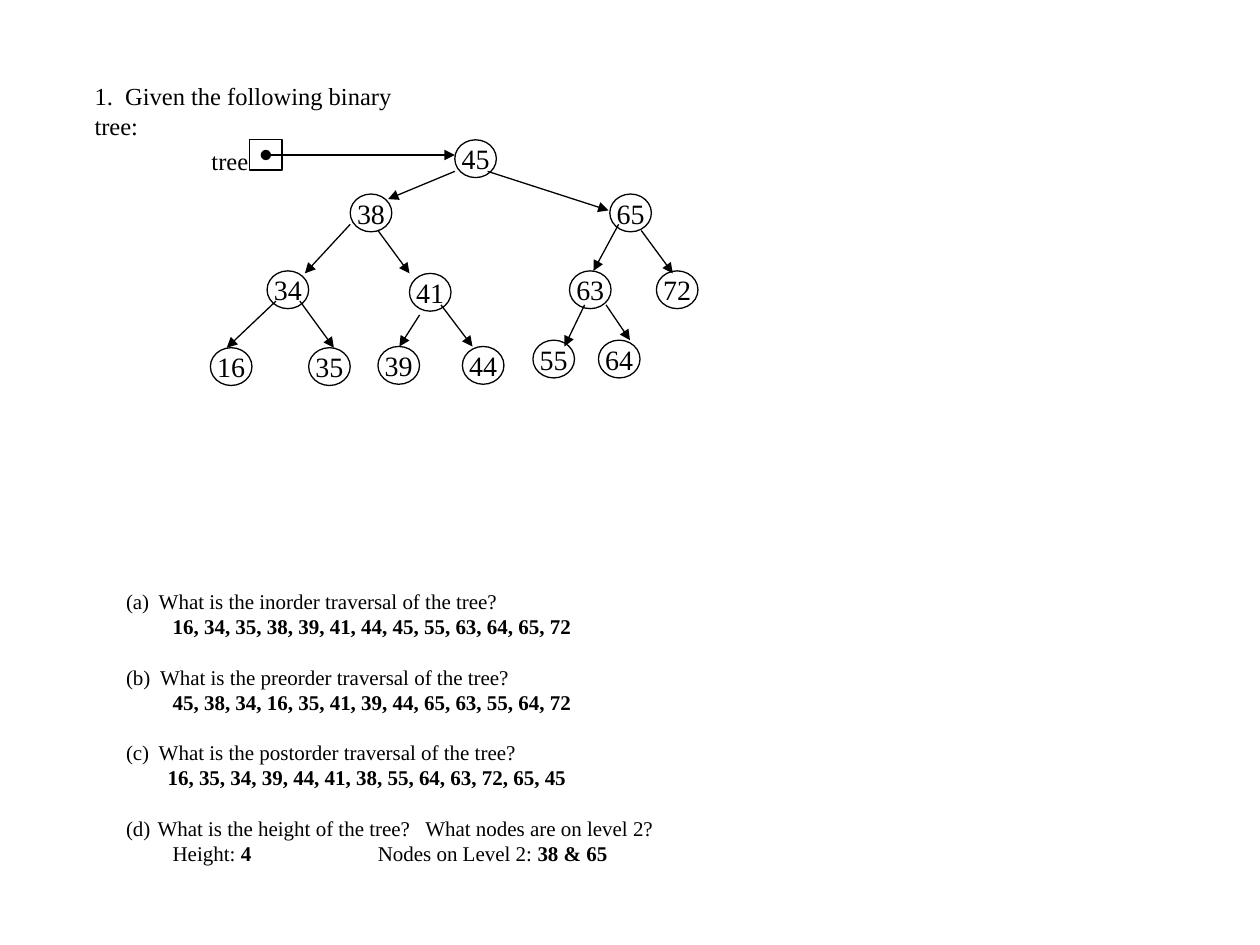
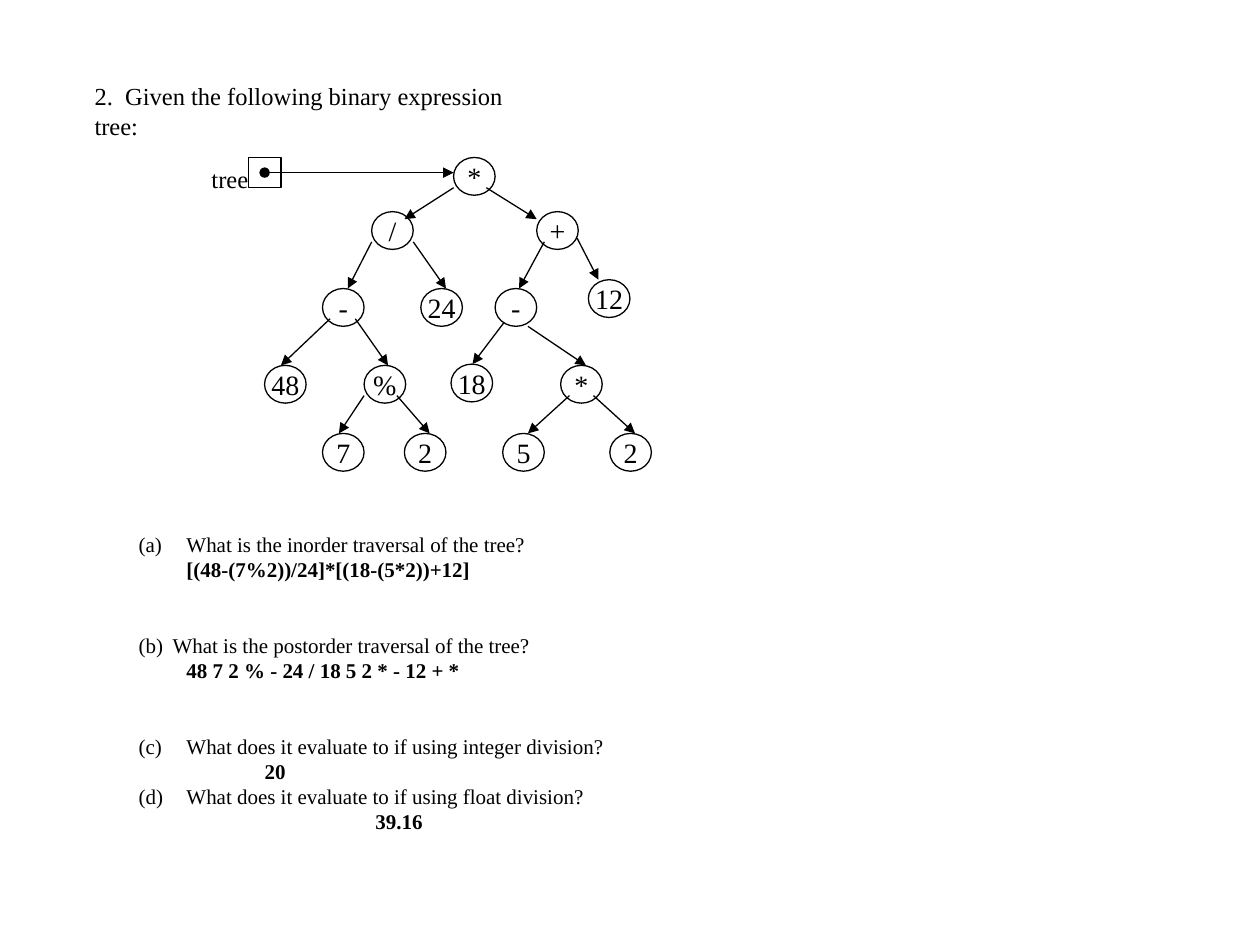
from lxml.etree import SubElement
from pptx import Presentation
from pptx.dml.color import RGBColor
from pptx.enum.shapes import MSO_CONNECTOR, MSO_SHAPE
from pptx.enum.text import MSO_ANCHOR, MSO_AUTO_SIZE, PP_ALIGN
from pptx.oxml.ns import qn
from pptx.util import Inches, Pt

FONT = "Times New Roman"
INK = "000000"
NODE_W, NODE_H = 0.33, 0.3

exercises = [
    {
        "title": "1.  Given the following binary tree:",
        "title_width": 2.9,
        "questions_at": (0.9, 4.62, 5.29, 2.4),
        "questions": [
            (0, 0.26, ["(a)\tWhat is the inorder traversal of the tree?"]),
            (0, 0.37, ["*16, 34, 35, 38, 39, 41, 44, 45, 55, 63, 64, 65, 72"]),
            (1, 0.27, ["(b)\tWhat is the preorder traversal of the tree?"]),
            (0, 0.37, ["*45, 38, 34, 16, 35, 41, 39, 44, 65, 63, 55, 64, 72"]),
            (1, 0.26, ["(c)\tWhat is the postorder traversal of the tree?"]),
            (0, 0.33, ["*16, 35, 34, 39, 44, 41, 38, 55, 64, 63, 72, 65, 45"]),
            (1, 0.25, ["(d)\tWhat is the height of the tree?   What nodes are on level 2?"]),
            (0, 0.37, ["Height: ", "*4"]),
        ],
        "asides": [(2.9, 6.62, 2.1, 0.3, 12, 14.4, ["Nodes on Level 2: ", "*38 & 65"])],
        "pointer": (1.98, 1.11),
        "nodes": [
            ("45", 3.61, 1.11), ("38", 2.78, 1.54), ("65", 4.84, 1.54),
            ("34", 2.12, 2.15), ("41", 3.25, 2.17), ("63", 4.52, 2.15),
            ("72", 5.21, 2.15), ("16", 1.67, 2.76), ("35", 2.45, 2.76),
            ("39", 3, 2.75), ("44", 3.67, 2.75), ("55", 4.23, 2.7), ("64", 4.75, 2.7),
        ],
        "branches": [
            (3.61, 1.36, 3.08, 1.58), (3.87, 1.36, 4.83, 1.67),
            (2.78, 1.78, 2.42, 2.17), (3, 1.83, 3.25, 2.17),
            (4.91, 1.78, 4.71, 2.15), (5.09, 1.83, 5.34, 2.17),
            (2.19, 2.39, 1.8, 2.76), (2.38, 2.39, 2.65, 2.76),
            (3.33, 2.5, 3.17, 2.75), (3.5, 2.42, 3.75, 2.75),
            (4.64, 2.42, 4.48, 2.75), (4.81, 2.42, 5, 2.7),
        ],
    },
    {
        "title": "2.  Given the following binary expression tree:",
        "title_width": 3.75,
        "questions_at": (1, 4.17, 5, 2.93),
        "questions": [
            (0, 0.38, ["(a)\tWhat is the inorder traversal of the tree?"]),
            (0, 0.38, ["*[(48-(7%2))/24]*[(18-(5*2))+12]"]),
            (2, 0.27, ["(b)\tWhat is the postorder traversal of the tree?"]),
            (0, 0.38, ["*48 7 2 % - 24 / 18 5 2 * - 12 + *"]),
            (2, 0.38, ["(c)\tWhat does it evaluate to if using integer division?"]),
            (0, 1, ["*20"]),
            (0, 0.38, ["(d)\tWhat does it evaluate to if using float division?"]),
            (0, 1.88, ["*39.16"]),
        ],
        "asides": [],
        "pointer": (1.97, 1.25),
        "nodes": [
            ("*", 3.6, 1.25), ("/", 2.95, 1.68), ("+", 4.26, 1.68),
            ("-", 2.56, 2.29), ("24", 3.34, 2.29), ("-", 3.93, 2.29),
            ("12", 4.67, 2.22), ("48", 2.1, 2.9), ("%", 2.89, 2.9),
            ("18", 3.58, 2.89), ("*", 4.45, 2.9), ("7", 2.56, 3.44),
            ("2", 3.21, 3.44), ("5", 3.99, 3.44), ("2", 4.84, 3.44),
        ],
        "branches": [
            (3.6, 1.49, 3.21, 1.74), (3.86, 1.49, 4.26, 1.74),
            (2.95, 1.92, 2.76, 2.29), (3.28, 1.92, 3.54, 2.29),
            (4.32, 1.92, 4.12, 2.29), (4.58, 1.89, 4.75, 2.22),
            (2.62, 2.53, 2.23, 2.9), (2.82, 2.53, 3.08, 2.9),
            (4, 2.56, 3.75, 2.89), (4.19, 2.59, 4.65, 2.9),
            (2.89, 3.14, 2.69, 3.44), (3.15, 3.14, 3.41, 3.44),
            (4.52, 3.14, 4.19, 3.44), (4.71, 3.14, 5.04, 3.44),
        ],
    },
]


def color(target, value):
    target.rgb = RGBColor.from_string(value)


def write(paragraph, runs, size, leading=None, before=0, margin=0, align=PP_ALIGN.LEFT):
    paragraph.alignment = align
    paragraph.space_before = Pt(before)
    if leading:
        paragraph.line_spacing = Pt(leading)
    hanging = margin if "\t" in runs[0] else 0
    properties = paragraph._p.get_or_add_pPr()
    properties.set("marL", str(Inches(margin)))
    properties.set("indent", str(-Inches(hanging)))
    SubElement(properties, qn("a:buNone"))
    for words in runs:
        bold = len(words) > 1 and words.startswith("*")
        run = paragraph.add_run()
        run.text = words[1:] if bold else words
        run.font.name = FONT
        run.font.size = Pt(size)
        run.font.bold = bold
        color(run.font.color, INK)


prs = Presentation()
prs.slide_width, prs.slide_height = Inches(10), Inches(7.5)

for exercise in exercises:
    slide = prs.slides.add_slide(prs.slide_layouts[1])
    title, questions = slide.placeholders
    title_at = (0.65, 0.59, exercise["title_width"], 0.58)
    for holder, place in ((title, title_at), (questions, exercise["questions_at"])):
        holder.left, holder.top, holder.width, holder.height = map(Inches, place)
        holder.text_frame.auto_size = MSO_AUTO_SIZE.NONE
        holder.text_frame.word_wrap = True
        holder.text_frame.vertical_anchor = MSO_ANCHOR.TOP

    write(title.text_frame.paragraphs[0], [exercise["title"]], 14, 17.1)
    for index, (blank_lines, margin, runs) in enumerate(exercise["questions"]):
        frame = questions.text_frame
        line = frame.add_paragraph() if index else frame.paragraphs[0]
        write(line, runs, 12, 14.4, blank_lines * 14.4, margin)

    pointer_x, pointer_y = exercise["pointer"]
    outlines = [(MSO_SHAPE.RECTANGLE, "", pointer_x, pointer_y, 0.26, 0.24)]
    outlines += [(MSO_SHAPE.OVAL, label, x, y, NODE_W, NODE_H)
                 for label, x, y in exercise["nodes"]]
    for kind, label, *place in outlines:
        outline = slide.shapes.add_shape(kind, *map(Inches, place))
        outline.shadow.inherit = False
        outline.fill.background()
        color(outline.line.color, INK)
        outline.line.width = Pt(0.75)
        if label:
            frame = outline.text_frame
            frame.word_wrap = False
            frame.margin_left = frame.margin_right = 0
            frame.margin_top = frame.margin_bottom = 0
            frame.vertical_anchor = MSO_ANCHOR.MIDDLE
            write(frame.paragraphs[0], [label], 16, align=PP_ALIGN.CENTER)

    tree_label = (1.58, pointer_y, 0.49, 0.33, 14, 17.1, ["tree"])
    for *place, size, leading, runs in [tree_label] + exercise["asides"]:
        aside = slide.shapes.add_textbox(*map(Inches, place))
        aside.text_frame.word_wrap = False
        write(aside.text_frame.paragraphs[0], runs, size, leading)

    root_x = exercise["nodes"][0][1]
    link_y = pointer_y + 0.12
    root_link = (pointer_x + 0.13, link_y, root_x, link_y)
    for link in [root_link] + exercise["branches"]:
        arrow = slide.shapes.add_connector(MSO_CONNECTOR.STRAIGHT, *map(Inches, link))
        color(arrow.line.color, INK)
        arrow.line.width = Pt(0.75)
        stroke = arrow.line._get_or_add_ln()
        if link is root_link:
            SubElement(stroke, qn("a:headEnd"), type="oval")
        SubElement(stroke, qn("a:tailEnd"), type="triangle")
        SubElement(arrow._element.spPr, qn("a:effectLst"))

prs.save("out.pptx")
